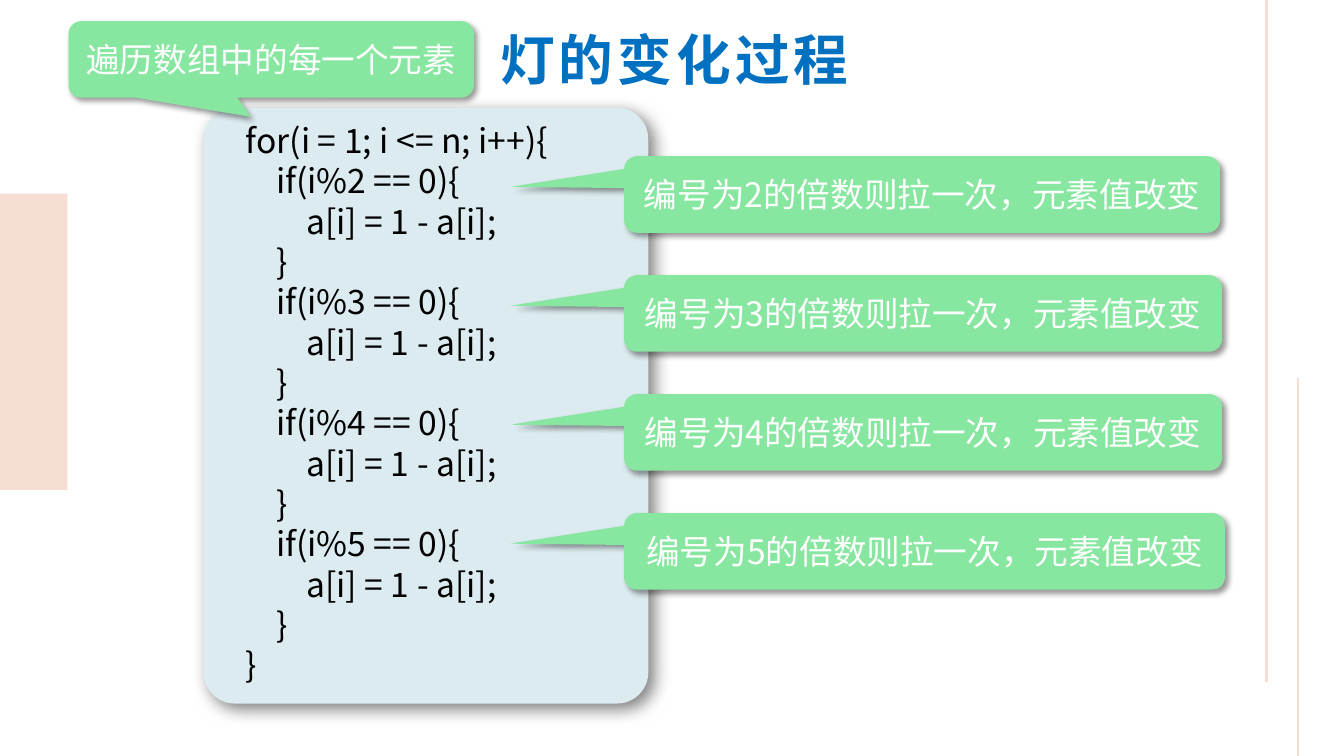
from lxml import etree
from pptx import Presentation
from pptx.dml.color import RGBColor
from pptx.enum import shapes, text
from pptx.oxml import ns
from pptx.util import Inches, Pt

TITLE = "灯的变化过程"
DIVISORS = (2, 3, 4, 5)
CALLOUT_WIDTHS = (5.91, 5.93, 5.93, 5.96)
LOOP_NOTE = "遍历数组中的每一个元素"
DIVISOR_NOTE = "编号为{}的倍数则拉一次，元素值改变"

# (indent level, code)
CODE = [(0, "for(i = 1; i <= n; i++){")]
for divisor in DIVISORS:
    CODE += [(1, f"if(i%{divisor} == 0){{"), (2, "a[i] = 1 - a[i];"), (1, "}")]
CODE.append((0, "}"))

# (x, top, bottom, line width)
SIDE_LINES = [(12.56, 0, 6.77, 2.25), (12.87, 3.75, 7.5, 1.5)]

THEME = {
    "font": "Noto Sans CJK SC",
    "title_size": 39, "body_size": 24,
    "title": "0070C0", "code": "000000", "note": "FFFFFF",
    "accent": "F6DED4", "panel": "DCEBEF", "callout": "87E69F", "shadow": "000000",
}
CODE_INDENT = 0.3
CALLOUT_LEFT, CALLOUT_TOP, CALLOUT_STEP, CALLOUT_HEIGHT = 6.19, 1.55, 1.18, 0.76
MAIN = shapes.MSO_SHAPE


def box(left, top, width, height):
    return [Inches(value) for value in (left, top, width, height)]


def add_effects(shape, shadow=None):
    """Give the shape its own effect list; shadow is (opacity %, blur pt, distance pt)."""
    properties = shape._element.spPr
    effects = etree.SubElement(properties, ns.qn("a:effectLst"))
    if shadow:
        opacity, blur, distance = shadow
        outer = etree.SubElement(effects, ns.qn("a:outerShdw"), {
            "blurRad": str(Pt(blur)), "dist": str(Pt(distance)),
            "dir": str(45 * 60000), "algn": "tl", "rotWithShape": "0"})
        colour = etree.SubElement(outer, ns.qn("a:srgbClr"), val=THEME["shadow"])
        etree.SubElement(colour, ns.qn("a:alpha"), val=str(opacity * 1000))


def add_block(slide, kind, place, colour, adjustments=(), shadow=None):
    shape = slide.shapes.add_shape(kind, *box(*place))
    for index, value in enumerate(adjustments):
        shape.adjustments[index] = value
    shape.fill.solid()
    shape.fill.fore_color.rgb = RGBColor.from_string(THEME[colour])
    shape.line.fill.background()
    add_effects(shape, shadow)
    return shape


def write(paragraph, words, colour, size="body_size", bold=False):
    run = paragraph.add_run()
    run.text = words
    formats = {"name": THEME["font"], "size": Pt(THEME[size]), "bold": bold}
    for name, value in formats.items():
        setattr(run.font, name, value)
    run.font.color.rgb = RGBColor.from_string(THEME[colour])
    properties = run._r.get_or_add_rPr()
    latin = properties.find(ns.qn("a:latin"))
    latin.addnext(latin.makeelement(ns.qn("a:ea"), {"typeface": THEME["font"]}))
    return run


def format_frame(frame, **formats):
    for name, value in formats.items():
        setattr(frame, name, value)


def add_title(slide):
    title = slide.shapes.title
    title.left, title.top, title.width, title.height = box(4.84, 0.21, 3.7, 0.76)
    format_frame(title.text_frame, word_wrap=False, vertical_anchor=text.MSO_ANCHOR.TOP,
                 auto_size=text.MSO_AUTO_SIZE.SHAPE_TO_FIT_TEXT)
    paragraph = title.text_frame.paragraphs[0]
    paragraph.alignment = text.PP_ALIGN.CENTER
    run = write(paragraph, TITLE, "title", "title_size", True)
    run._r.get_or_add_rPr().set("spc", "300")


def add_side_decoration(slide):
    add_block(slide, MAIN.RECTANGLE, (0, 1.92, 0.67, 2.94), "accent")
    for x, top, bottom, width in SIDE_LINES:
        line = slide.shapes.add_connector(
            shapes.MSO_CONNECTOR.STRAIGHT, *box(x, top, x, bottom))
        line.line.color.rgb = RGBColor.from_string(THEME["accent"])
        line.line.width = Pt(width)
        add_effects(line)


def add_code(slide):
    add_block(slide, MAIN.ROUNDED_RECTANGLE, (2.02, 1.07, 4.41, 5.91), "panel",
              [0.07], (50, 12, 6))
    frame = slide.shapes.add_textbox(*box(2.34, 1.14, 3.7, 5.75)).text_frame
    format_frame(frame, word_wrap=True, auto_size=text.MSO_AUTO_SIZE.SHAPE_TO_FIT_TEXT)
    for index, (level, words) in enumerate(CODE):
        paragraph = frame.add_paragraph() if index else frame.paragraphs[0]
        paragraph._p.get_or_add_pPr().set("marL", str(Inches(CODE_INDENT * level)))
        write(paragraph, words, "code")


def add_callout(slide, words, place, tip):
    callout = add_block(slide, MAIN.ROUNDED_RECTANGULAR_CALLOUT, place, "callout",
                        (*tip, 0.167), (40, 4, 3))
    format_frame(callout.text_frame, word_wrap=True,
                 vertical_anchor=text.MSO_ANCHOR.MIDDLE)
    paragraph = callout.text_frame.paragraphs[0]
    paragraph.alignment = text.PP_ALIGN.CENTER
    write(paragraph, words, "note")


def main():
    presentation = Presentation()
    presentation.slide_width, presentation.slide_height = Inches(13.33), Inches(7.5)
    slide = presentation.slides.add_slide(presentation.slide_layouts[5])
    add_side_decoration(slide)
    add_title(slide)
    add_code(slide)
    add_callout(slide, LOOP_NOTE, (0.68, 0.21, 4.02, CALLOUT_HEIGHT), (-0.05, 0.75))
    for row, (divisor, width) in enumerate(zip(DIVISORS, CALLOUT_WIDTHS)):
        place = (CALLOUT_LEFT, CALLOUT_TOP + row * CALLOUT_STEP, width, CALLOUT_HEIGHT)
        add_callout(slide, DIVISOR_NOTE.format(divisor), place, (-0.69, -0.1))
    presentation.save("out.pptx")


if __name__ == "__main__":
    main()
